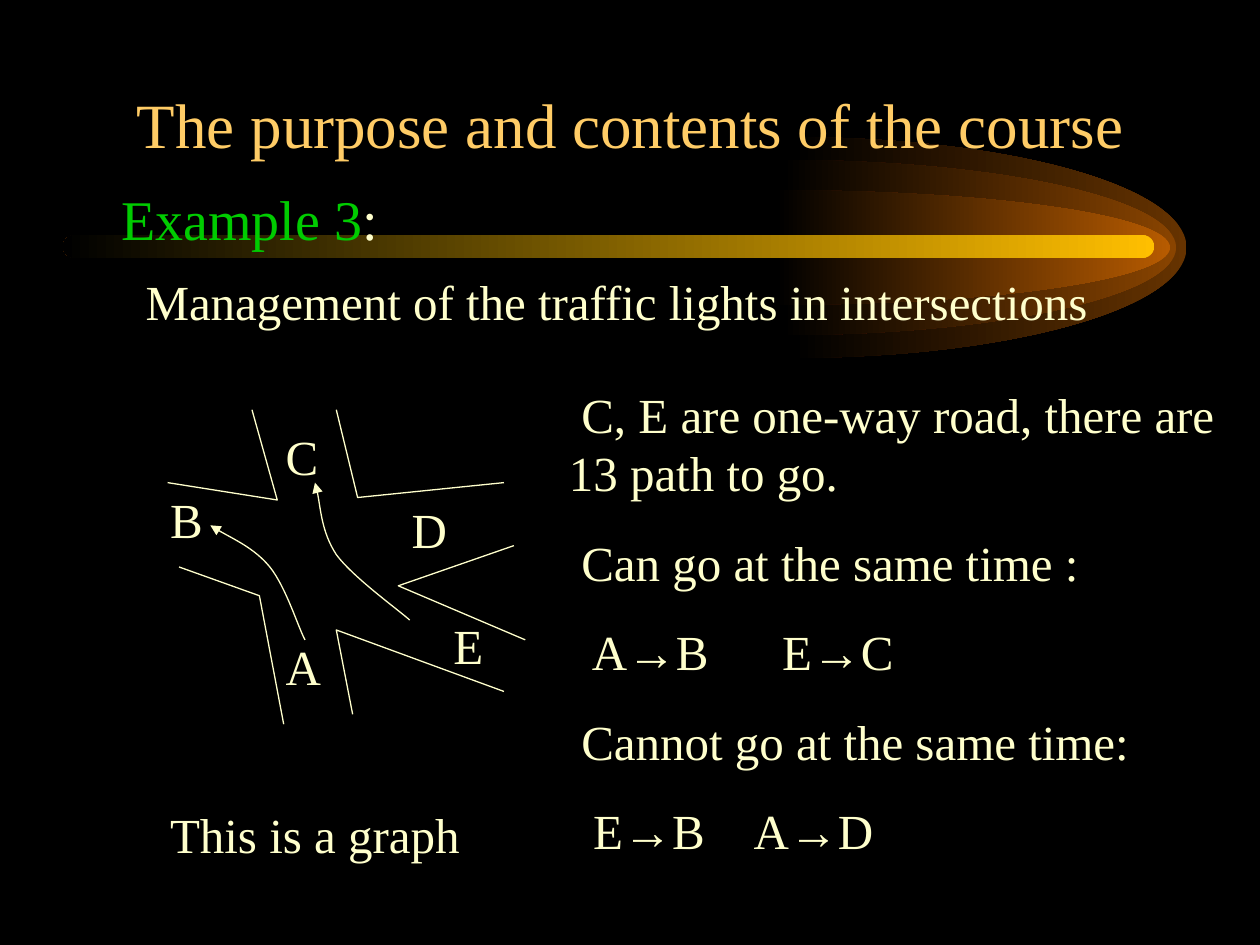
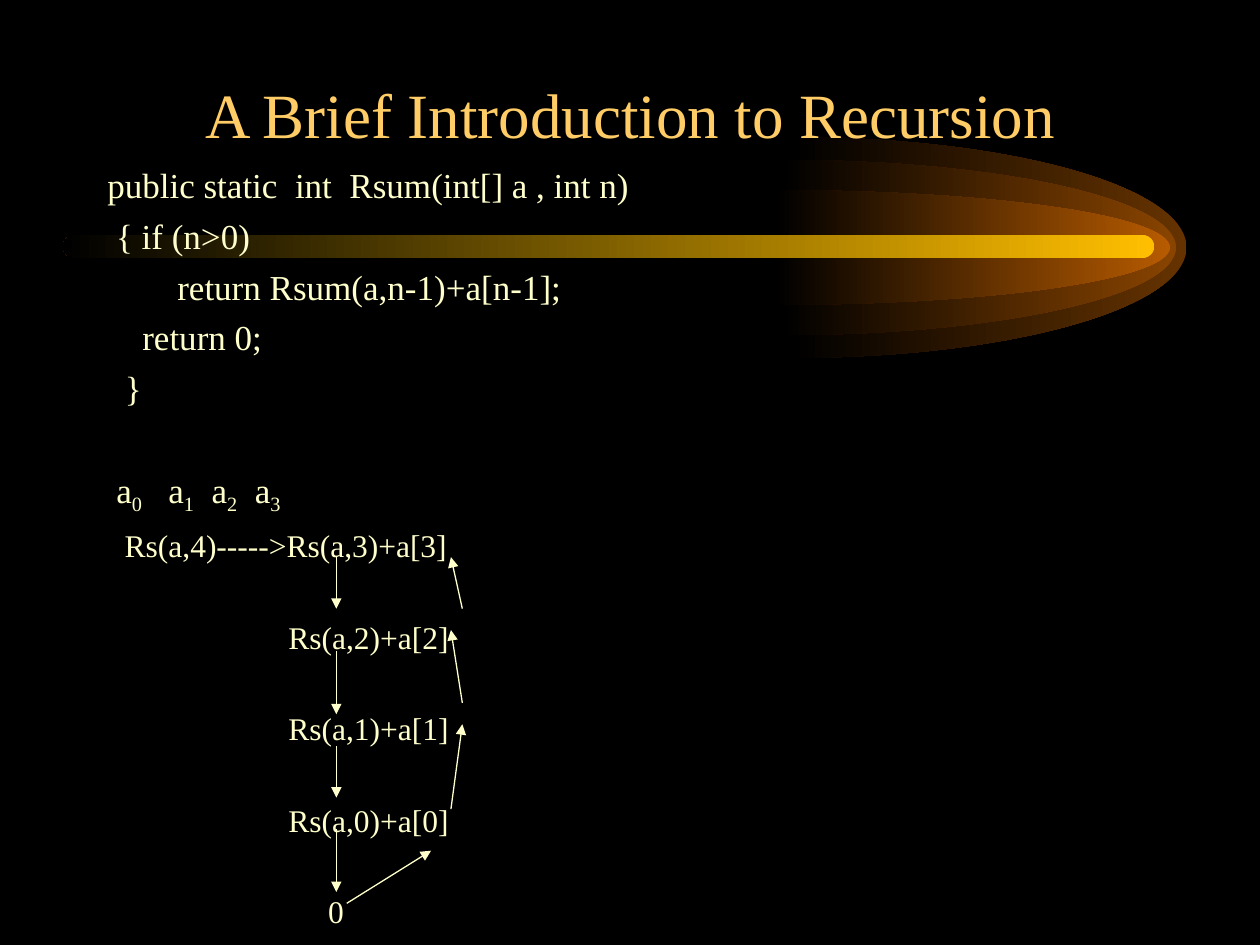
from lxml import etree
from pptx import Presentation
from pptx.dml.color import RGBColor
from pptx.enum.shapes import MSO_CONNECTOR, MSO_SHAPE
from pptx.enum.text import MSO_ANCHOR, MSO_AUTO_SIZE, PP_ALIGN
from pptx.oxml.ns import qn
from pptx.util import Cm, Pt

STRAIGHT = MSO_CONNECTOR.STRAIGHT
ROUNDED = MSO_SHAPE.ROUNDED_RECTANGLE
BOTTOM = MSO_ANCHOR.BOTTOM
NO_AUTOFIT = MSO_AUTO_SIZE.NONE
LEFT, CENTER = PP_ALIGN.LEFT, PP_ALIGN.CENTER

BLACK, CREAM, GOLD, GREEN = "000000", "FFFFCC", "FFCC66", "00CC00"
SERIF = "Times New Roman"
MARGIN, CONTENT_WIDTH = 1.91, 21.59


def colour(target, value):
    target.rgb = RGBColor.from_string(value)


def write(shape, box, paragraphs, text_colour=CREAM, align=LEFT):
    """Place a text shape (box in cm) and fill it with formatted paragraphs."""
    shape.left, shape.top, shape.width, shape.height = [Cm(value) for value in box]
    frame = shape.text_frame
    frame.word_wrap = True
    frame.auto_size = NO_AUTOFIT
    for index, item in enumerate(paragraphs):
        paragraph = frame.paragraphs[0] if index == 0 else frame.add_paragraph()
        properties = paragraph._p.get_or_add_pPr()
        properties.set("marL", "0")
        properties.set("indent", str(Cm(item.get("indent", 0))))
        etree.SubElement(properties, qn("a:buNone"))
        paragraph.alignment = align
        paragraph.space_before = Pt(item.get("before", 0))
        for text, extra in item["runs"]:
            run = paragraph.add_run()
            run.text = text
            values = {"name": extra.get("name", SERIF), "size": Pt(item.get("size", 28))}
            for key, value in values.items():
                setattr(run.font, key, value)
            colour(run.font.color, extra.get("colour", text_colour))
            for key, value in extra.get("xml", {}).items():
                run.font._element.set(key, value)


presentation = Presentation()
presentation.slide_width, presentation.slide_height = Cm(25.4), Cm(19.05)
master = presentation.slide_master
layout = presentation.slide_layouts[1]
traffic = presentation.slides.add_slide(layout)
recursion = presentation.slides.add_slide(layout)
curved = []  # outlines whose points are Bezier controls, two curves each

# Shared background: comet with three glows and a bar, kept on the master
master.background.fill.solid()
colour(master.background.fill.fore_color, BLACK)
comet = []
axis, glow_width, roundness = 4.99, 7.95, 0.55
for left, height, glow_colour in [
    (15.97, 4.45, "663300"), (15.76, 3.53, "894400"), (15.64, 2.31, "B75B00"),
]:
    half_ellipse = [(0, -1), (roundness, -1), (1, -roundness), (1, 0),
                    (1, roundness), (roundness, 1), (0, 1)]
    points = [(Cm(left + x * glow_width), Cm(axis + y * height / 2)) for x, y in half_ellipse]
    builder = traffic.shapes.build_freeform(*points[0])
    builder.add_line_segments(points[1:], close=True)
    glow = builder.convert_to_shape()
    curved.append(glow)
    comet.append((glow, glow_colour))
bar = traffic.shapes.add_shape(ROUNDED, Cm(1.27), Cm(4.74), Cm(22), Cm(0.46))
bar.adjustments[0] = 0.5
comet.append((bar, "FFBF00"))
for position, (shape, head_colour) in enumerate(comet, start=2):
    shape.shadow.inherit = False
    shape.line.fill.background()
    shape.fill.gradient()
    shape.fill.gradient_angle = 180
    for stop, stop_colour in zip(shape.fill.gradient_stops, (head_colour, BLACK)):
        colour(stop.color, stop_colour)
    master.shapes.element.insert(position, shape.element)

# Titles
for slide, title, top, height in [
    (traffic, "The purpose and contents of the course", 0.2, 3.18),
    (recursion, "A Brief Introduction to Recursion", 1.27, 1.91),
]:
    write(slide.shapes.title, (MARGIN, top, CONTENT_WIDTH, height),
          [{"size": 36, "runs": [(title, {})]}], GOLD, CENTER)
    slide.shapes.title.text_frame.vertical_anchor = BOTTOM

# Slide 1: example heading
write(traffic.placeholders[1], (MARGIN, 3.6, CONTENT_WIDTH, 13.97), [
    {"indent": 0.28, "size": 32, "runs": [("Example 3", {"colour": GREEN}), (":", {})]},
    {"indent": 0.77, "before": 11,
     "runs": [("Management of the traffic lights in intersections", {})]},
])

# Slide 1: road edges and the two routes through the intersection
lines = []  # (shape, has arrowhead)
road_edges = [
    [(5.08, 8.26), (5.59, 10.08), (3.38, 9.73)],
    [(6.78, 8.26), (7.21, 10.03), (10.16, 9.73)],
    [(10.36, 11), (8.03, 11.81), (10.59, 12.9)],
    [(7.11, 14.4), (6.78, 12.7), (10.16, 13.94)],
    [(3.61, 11.43), (5.23, 12.01), (5.72, 14.6)],
]
routes = [
    [(6.15, 12.9), (6.02, 12.67), (5.77, 11.84), (5.44, 11.43),
     (5.13, 11.05), (4.5, 10.77), (4.24, 10.59)],
    [(8.26, 12.5), (8, 12.27), (7.11, 11.63), (6.78, 11.18),
     (6.48, 10.72), (6.45, 10.03), (6.35, 9.73)],
]
for outline in road_edges + routes:
    points = [(Cm(x), Cm(y)) for x, y in outline]
    builder = traffic.shapes.build_freeform(*points[0])
    builder.add_line_segments(points[1:], close=False)
    shape = builder.convert_to_shape()
    shape.fill.background()
    lines.append((shape, outline in routes))
    if outline in routes:
        curved.append(shape)

# Turn every three line segments of a curved outline into one Bezier curve
for shape in curved:
    segments = list(shape.element.iter(qn("a:lnTo")))
    for start in (0, 3):
        bezier = etree.Element(qn("a:cubicBezTo"))
        segments[start].addprevious(bezier)
        for segment in segments[start:start + 3]:
            bezier.append(segment[0])
            segment.getparent().remove(segment)

# Slide 1: road names and caption
for text, left, top, width in [
    ("C", 5.51, 8.47, 1.5), ("B", 3.18, 9.74, 1.5), ("D", 8.05, 9.95, 1.5),
    ("A", 5.51, 12.7, 1.5), ("E", 8.89, 12.28, 1.5), ("This is a graph", 3.18, 16.09, 7.19),
]:
    label = traffic.shapes.add_textbox(0, 0, 0, 0)
    write(label, (left, top, width, 1.45), [{"runs": [(text, {})]}])

# Slide 1: which routes go together (gaps are spaces widened by letter spacing)
arrow = ("→", {"name": "Arial"})
wide_gap, narrow_gap = [(" ", {"xml": {"spc": spacing}}) for spacing in ("3500", "2100")]
rules = traffic.shapes.add_textbox(0, 0, 0, 0)
write(rules, (11.22, 7.62, 13.77, 9.83), [
    {"indent": 0.25, "runs": [("C, E are one-way road, there are 13 path to go.", {})]},
    {"indent": 0.25, "before": 17.5, "runs": [("Can go at the same time :", {})]},
    {"indent": 0.46, "before": 17.5,
     "runs": [("A", {}), arrow, ("B", {}), wide_gap, ("E", {}), arrow, ("C", {})]},
    {"indent": 0.25, "before": 17.5, "runs": [("Cannot go at the same time:", {})]},
    {"indent": 0.49, "before": 17.5,
     "runs": [("E", {}), arrow, ("B", {}), narrow_gap, ("A", {}), arrow, ("D", {})]},
])

# Slide 2: code, array and call trace
code = [
    "public static  int  Rsum(int[] a , int n)",
    " { if (n>0)",
    "        return Rsum(a,n-1)+a[n-1];",
    "    return 0;",
    "  }",
]
trace = [{"size": 20, "before": 5 if row else 0, "runs": [(text, {})]}
         for row, text in enumerate(code)]
array_runs = []
for index, spacing in enumerate([None, "1000", "500", "500"]):
    if spacing:
        array_runs.append((" ", {"xml": {"spc": spacing}}))
    array_runs += [("a", {}), (str(index), {"xml": {"baseline": "-25000"}})]
trace.append({"size": 20, "before": 34, "indent": 0.18, "runs": array_runs})
for text, indent, before in [
    ("Rs(a,4)----->Rs(a,3)+a[3]", 0.35, 6),
    ("Rs(a,2)+a[2]", 3.65, 30.7),
    ("Rs(a,1)+a[1]", 3.65, 30.7),
    ("Rs(a,0)+a[0]", 3.65, 30.7),
    ("0", 4.45, 30.7),
]:
    trace.append({"size": 18, "indent": indent, "before": before, "runs": [(text, {})]})
write(recursion.placeholders[1], (MARGIN, 3.17, CONTENT_WIDTH, 15.88), trace)

# Slide 2: calls going down, results coming back up
calls = [(6.78, top, 6.78, bottom) for top, bottom in
         [(11.23, 12.27), (13.13, 14.4), (15.04, 16.08), (16.71, 17.98)]]
results = [(6.99, 18.21, 8.69, 17.15), (9.09, 16.31, 9.32, 14.6),
           (9.32, 14.17, 9.09, 12.7), (9.32, 12.27, 9.09, 11.23)]
for ends in calls + results:
    connector = recursion.shapes.add_connector(STRAIGHT, *[Cm(value) for value in ends])
    lines.append((connector, True))

# Line style for both drawings
for shape, has_arrowhead in lines:
    shape.line.width = Pt(0.75)
    shape.line.fill.solid()
    colour(shape.line.fill.fore_color, CREAM)
    properties = shape.element.spPr
    if has_arrowhead:
        etree.SubElement(properties.find(qn("a:ln")), qn("a:tailEnd"), type="triangle")
    etree.SubElement(properties, qn("a:effectLst"))

presentation.save("out.pptx")
